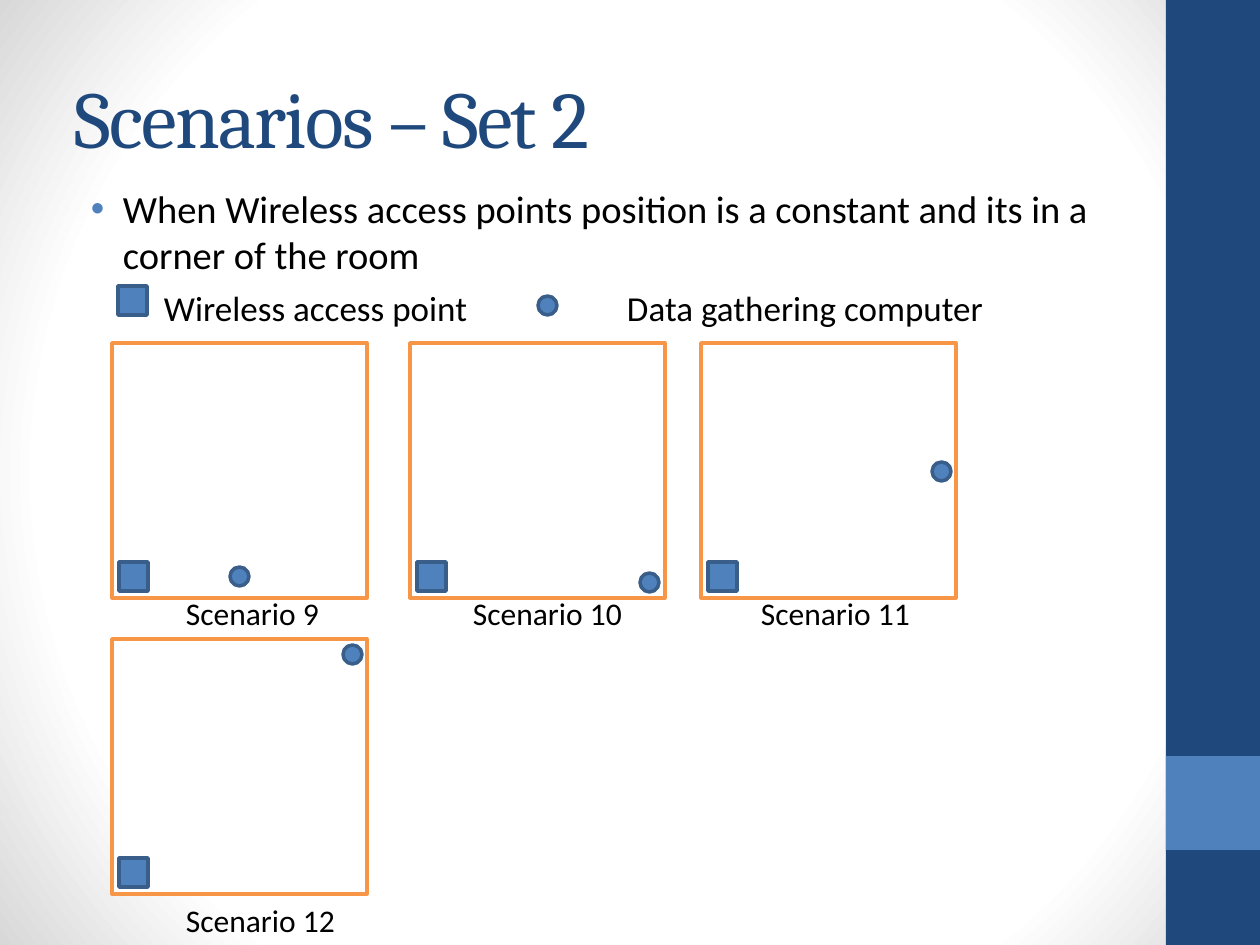
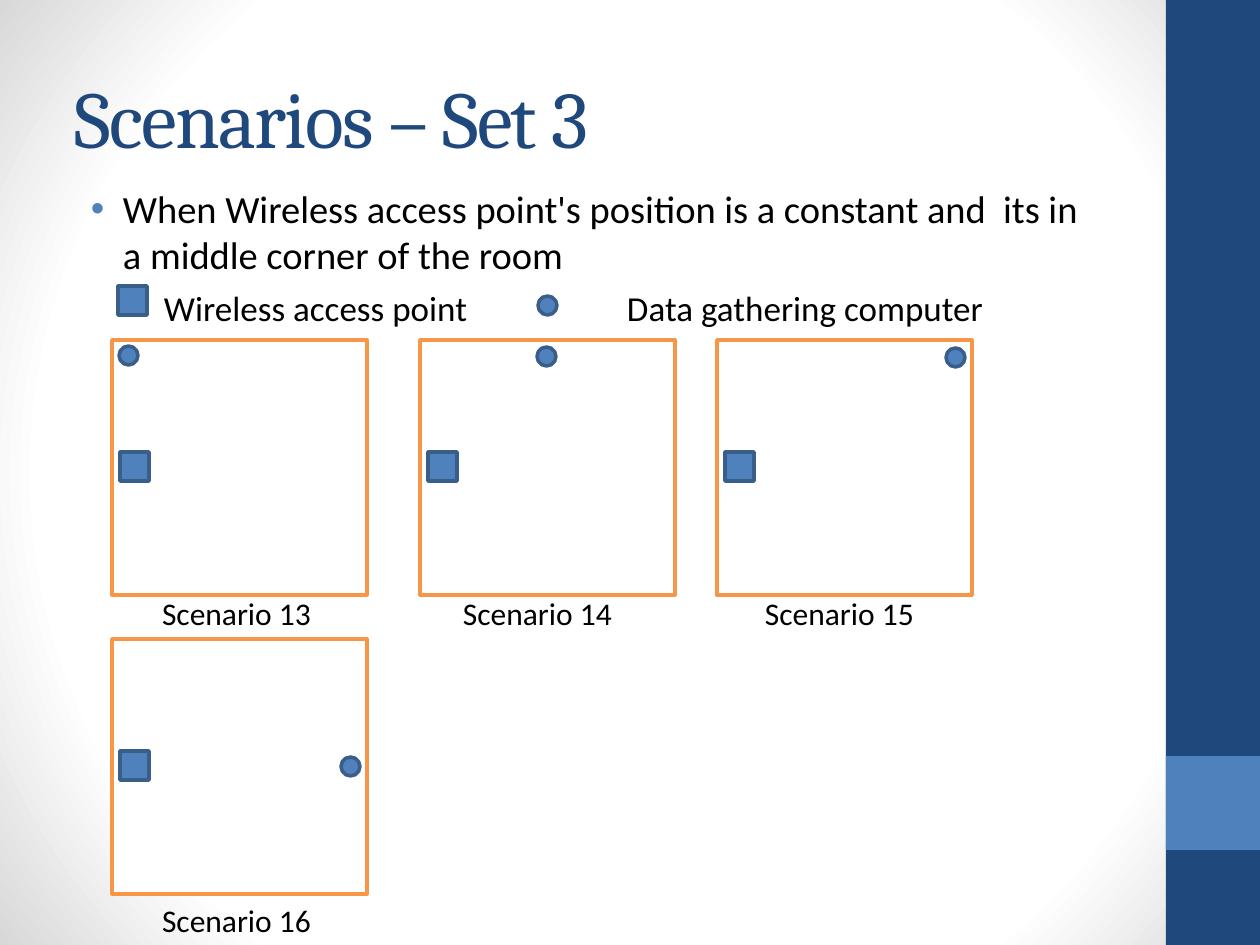
from lxml import etree
from pptx import Presentation
from pptx.dml.color import RGBColor
from pptx.enum.shapes import MSO_SHAPE
from pptx.enum.text import MSO_ANCHOR
from pptx.oxml import parse_xml
from pptx.oxml.ns import nsdecls, qn
from pptx.util import Emu, Pt

RECTANGLE = MSO_SHAPE.RECTANGLE
OVAL = MSO_SHAPE.OVAL
TOP = MSO_ANCHOR.TOP
MIDDLE = MSO_ANCHOR.MIDDLE

EMU_PER_PX = 914400 // 126
SLIDE_WIDTH, SLIDE_HEIGHT = 1260, 945
ROOM_SIDE = 255
ACCESS_POINT_SIDE = 29
COMPUTER_SIDE = 19

COLORS = {
    "navy": "1F497D",
    "blue": "4F81BD",
    "marker_line": "395E89",
    "room_line": "F79646",
    "white": "FFFFFF",
    "edge_gray": "D8D8D8",
    "black": "000000",
}

SCENARIO_SETS = [
    {
        "title": "Scenarios – Set 2",
        "summary": "When Wireless access points position is a constant and its in a corner of the room",
        "access_point": (7, 219),
        "rooms": [
            ("Scenario 9", (112, 343), (118, 224), (186, 594)),
            ("Scenario 10", (410, 343), (230, 230), (473, 594)),
            ("Scenario 11", (701, 343), (231, 119), (761, 594)),
            ("Scenario 12", (112, 639), (231, 6), (186, 901)),
        ],
    },
    {
        "title": "Scenarios – Set 3",
        "summary": "When Wireless access point's position is a constant and  its in a middle corner of the room",
        "access_point": (8, 112),
        "rooms": [
            ("Scenario 13", (112, 340), (7, 6), (162, 594)),
            ("Scenario 14", (420, 340), (117, 7), (463, 594)),
            ("Scenario 15", (717, 340), (229, 8), (765, 594)),
            ("Scenario 16", (112, 639), (229, 118), (162, 901)),
        ],
    },
]


def px(value):
    return Emu(value * EMU_PER_PX)


def rgb(name):
    return RGBColor.from_string(COLORS[name])


def add_text(slide, text, box, size, font="Calibri", color="black", anchor=TOP,
             tracking=0, bullet=None):
    text_box = slide.shapes.add_textbox(*map(px, box))
    frame = text_box.text_frame
    frame.word_wrap = True
    frame.vertical_anchor = anchor
    frame.margin_left = frame.margin_right = frame.margin_top = frame.margin_bottom = 0
    paragraph = frame.paragraphs[0]
    run = paragraph.add_run()
    run.text = text
    run.font.size = Pt(size)
    run.font.name = font
    run.font.color.rgb = rgb(color)
    if tracking:
        run.font._element.set("spc", str(tracking))
    if bullet:
        add_bullet(paragraph, bullet, margin=48, indent=-32)


def add_bullet(paragraph, color, margin, indent):
    properties = paragraph._p.get_or_add_pPr()
    properties.set("marL", str(px(margin)))
    properties.set("indent", str(px(indent)))
    bullet_color = etree.SubElement(properties, qn("a:buClr"))
    etree.SubElement(bullet_color, qn("a:srgbClr"), val=COLORS[color])
    etree.SubElement(properties, qn("a:buFont"), typeface="Arial")
    etree.SubElement(properties, qn("a:buChar"), char="•")


def add_box(slide, kind, box, fill, line=None):
    shape = slide.shapes.add_shape(kind, *map(px, box))
    shape.shadow.inherit = False
    shape.fill.solid()
    shape.fill.fore_color.rgb = rgb(fill)
    if line:
        shape.line.color.rgb = rgb(line)
        shape.line.width = Pt(2)
    else:
        shape.line.fill.background()


def add_access_point(slide, left, top):
    box = (left, top, ACCESS_POINT_SIDE, ACCESS_POINT_SIDE)
    add_box(slide, RECTANGLE, box, "blue", "marker_line")


def add_computer(slide, left, top):
    box = (left, top, COMPUTER_SIDE, COMPUTER_SIDE)
    add_box(slide, OVAL, box, "blue", "marker_line")


def set_background(master):
    master.background.fill.solid()
    properties = master.element.find(".//" + qn("p:bgPr"))
    stops = "".join(
        f'<a:gs pos="{position * 1000}"><a:srgbClr val="{COLORS[color]}"/></a:gs>'
        for position, color in [(0, "white"), (75, "white"), (100, "edge_gray")]
    )
    gradient = parse_xml(
        f'<a:gradFill {nsdecls("a")} rotWithShape="1"><a:gsLst>{stops}</a:gsLst>'
        '<a:path path="circle"><a:fillToRect l="50000" t="50000" r="50000" b="50000"/>'
        '</a:path></a:gradFill>'
    )
    properties.replace(properties.find(qn("a:solidFill")), gradient)


def add_side_band(slide, box):
    left, top, width, height = box
    add_box(slide, RECTANGLE, box, "navy")
    add_box(slide, RECTANGLE, (left, top + height * 4 // 5, width, width), "blue")


def add_heading(slide, title, summary, box):
    left, top, width, _ = box
    add_text(slide, title, (left, top, width, 144), 46, font="Cambria",
             color="navy", anchor=MIDDLE, tracking=-100)
    add_text(slide, summary, (left, top + 141, width, 94), 22, bullet="blue")


def add_legend(slide, box):
    left, top, _, height = box
    add_access_point(slide, left, top)
    add_text(slide, "Wireless access point", (left + 46, top, 340, height), 20)
    add_computer(slide, left + 420, top + 10)
    add_text(slide, "Data gathering computer", (left + 509, top, 400, height), 20)


def add_room(slide, name, corner, access_point, computer, caption):
    left, top = corner
    add_box(slide, RECTANGLE, (left, top, ROOM_SIDE, ROOM_SIDE), "white", "room_line")
    add_computer(slide, left + computer[0], top + computer[1])
    add_access_point(slide, left + access_point[0], top + access_point[1])
    add_text(slide, name, (*caption, 180, 40), 18)


def add_scenario_slide(presentation, scenario_set):
    slide = presentation.slides.add_slide(presentation.slide_layouts[6])
    add_side_band(slide, (1166, 0, 94, SLIDE_HEIGHT))
    add_heading(slide, scenario_set["title"], scenario_set["summary"], (75, 44, 1025, 235))
    add_legend(slide, (118, 286, 909, 43))
    for name, corner, computer, caption in scenario_set["rooms"]:
        add_room(slide, name, corner, scenario_set["access_point"], computer, caption)


def main():
    presentation = Presentation()
    presentation.slide_width = px(SLIDE_WIDTH)
    presentation.slide_height = px(SLIDE_HEIGHT)
    set_background(presentation.slide_master)
    for scenario_set in SCENARIO_SETS:
        add_scenario_slide(presentation, scenario_set)
    presentation.save("out.pptx")


if __name__ == "__main__":
    main()
